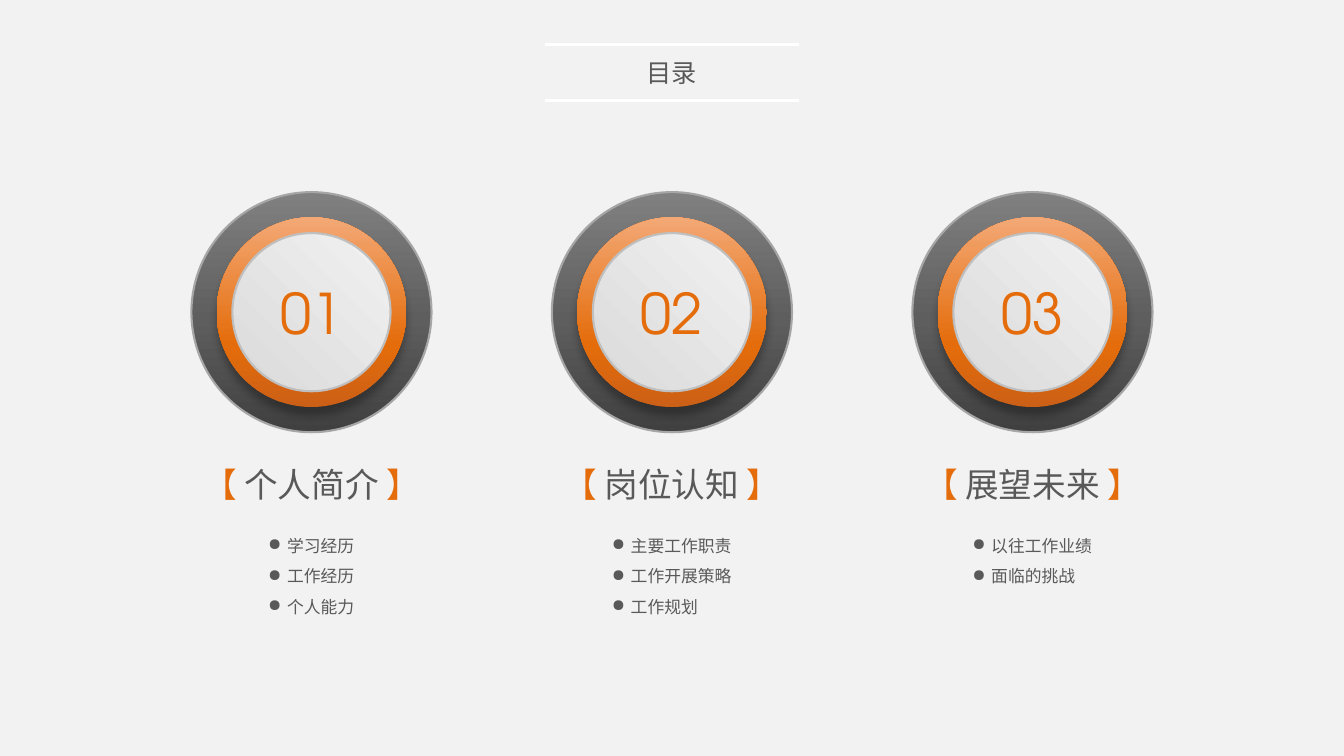
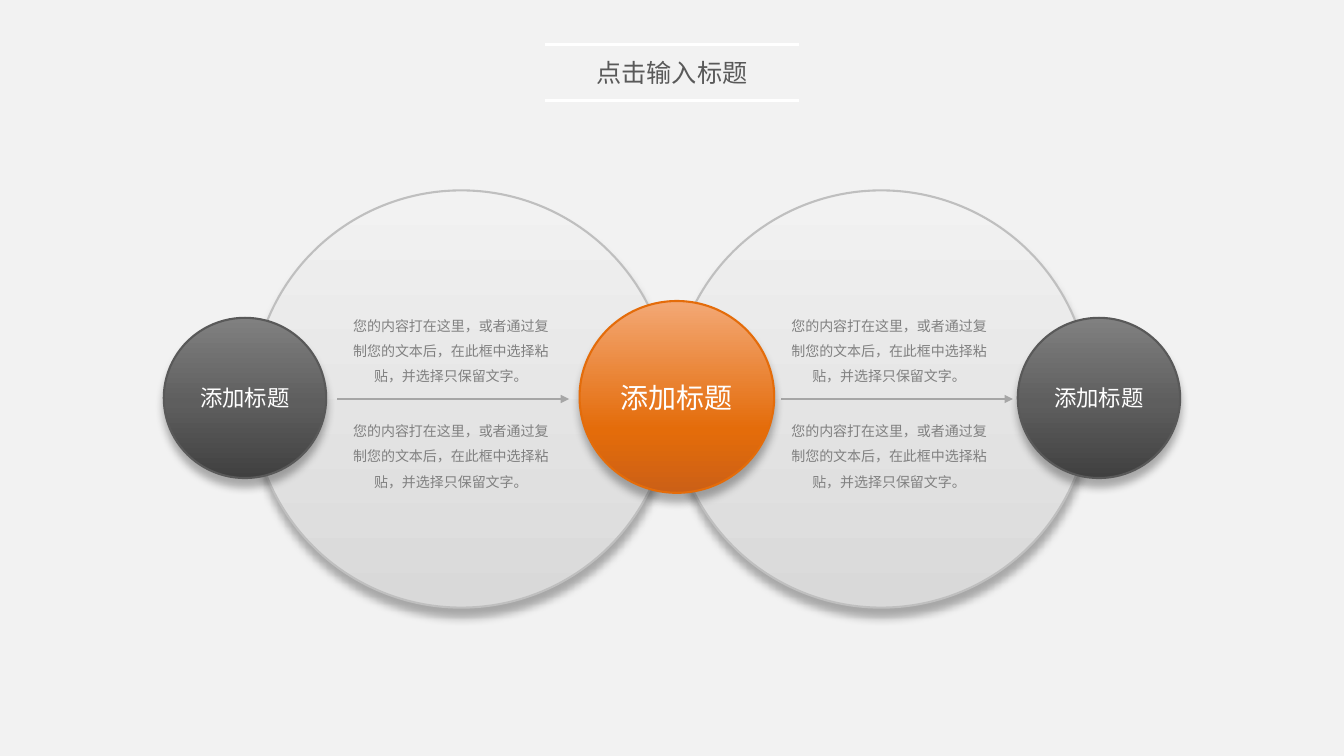
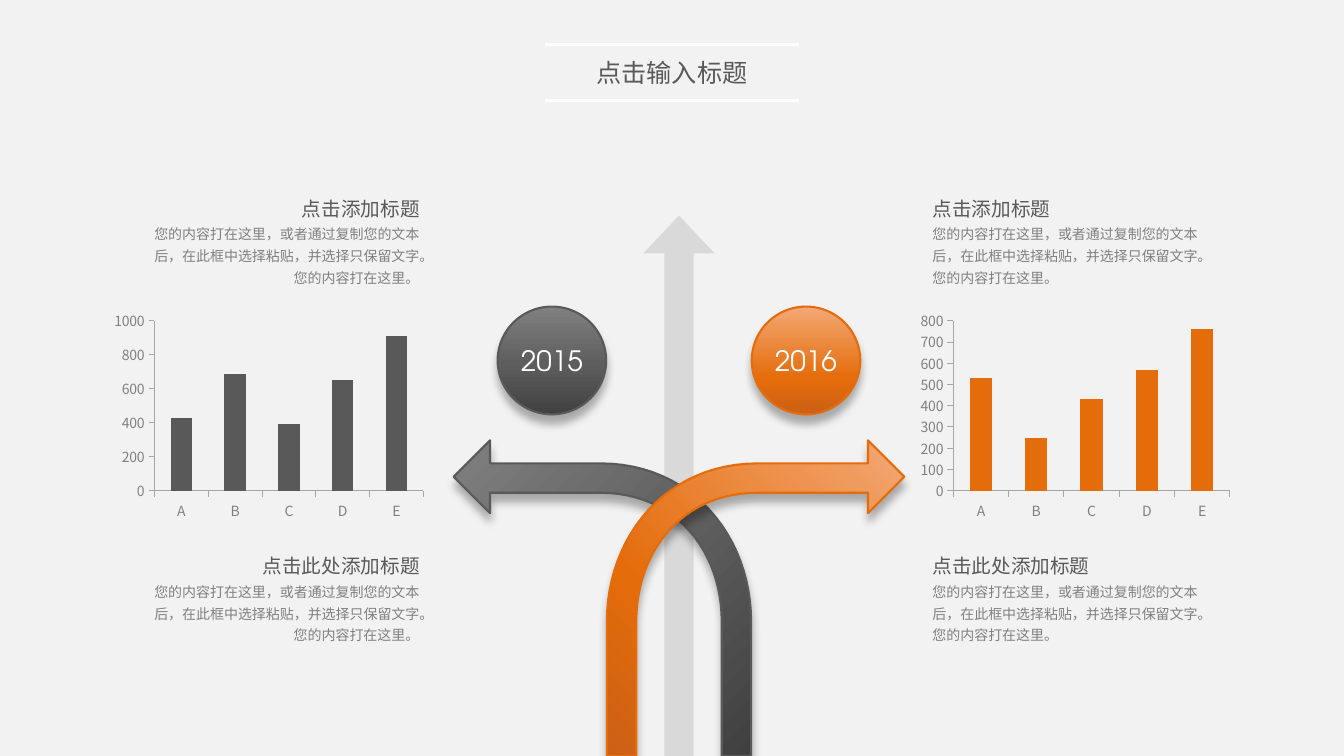
"""Build three slides: contents, linked circles, and a two-year comparison."""
import pptx
import pptx.chart.data
import pptx.dml.color
import pptx.enum.chart
import pptx.enum.shapes
import pptx.enum.text
import pptx.oxml
import pptx.oxml.ns
import pptx.util

Pt = pptx.util.Pt
qn = pptx.oxml.ns.qn
rgb = pptx.dml.color.RGBColor.from_string
OVAL = pptx.enum.shapes.MSO_SHAPE.OVAL
STRAIGHT = pptx.enum.shapes.MSO_CONNECTOR.STRAIGHT
ALIGN = pptx.enum.text.PP_ALIGN
MIDDLE = pptx.enum.text.MSO_ANCHOR.MIDDLE
NAMESPACE = pptx.oxml.ns.nsdecls("a")

CJK_FONT = "Noto Sans CJK SC"
NUMBER_FONT = "TeX Gyre Adventor"
WHITE, ORANGE, TEXT, BODY = "FFFFFF", "E46C0A", "595959", "808080"
SILVER, AXIS = "BFBFBF", "A6A6A6"
DARK_FADE = [(0, "404040"), (47, "5E5E5E"), (100, "808080")]
ORANGE_FADE = [(0, "CC6016"), (33, ORANGE), (100, "F3A875")]
LIGHT_FADE = [(0, "D9D9D9"), (100, "F2F2F2")]
FOCUS = {"left": 'l="0" t="100000" r="100000" b="0"', "right": 'l="100000" t="100000" r="0" b="0"'}


def paint(shape, fill=None, edge=None, width=1.5, shadow=False, focus=None):
    """Set fill, outline and shadow; a list of stops makes a gradient."""
    properties = shape._element.spPr
    if isinstance(fill, str):
        shape.fill.solid()
        shape.fill.fore_color.rgb = rgb(fill)
    elif fill:
        stops = "".join(f'<a:gs pos="{place * 1000}"><a:srgbClr val="{shade}"/></a:gs>' for place, shade in fill)
        aim = '<a:lin ang="16200000" scaled="0"/>'
        if focus:
            aim = f'<a:path path="circle"><a:fillToRect {FOCUS[focus]}/></a:path>'
        shape.fill.gradient()
        gradient = pptx.oxml.parse_xml(f"<a:gradFill {NAMESPACE}><a:gsLst>{stops}</a:gsLst>{aim}</a:gradFill>")
        properties.replace(properties.find(qn("a:gradFill")), gradient)
    if edge:
        shape.line.color.rgb = rgb(edge)
        shape.line.width = Pt(width)
    else:
        shape.line.fill.background()
    effect = ""
    if shadow:
        effect = ('<a:outerShdw blurRad="76200" dist="76200" dir="5400000" algn="t" rotWithShape="0">'
                  '<a:srgbClr val="000000"><a:alpha val="30000"/></a:srgbClr></a:outerShdw>')
    properties.append(pptx.oxml.parse_xml(f"<a:effectLst {NAMESPACE}>{effect}</a:effectLst>"))


def style(shape, size, colour, align=ALIGN.CENTER, font=CJK_FONT, spacing=1, side=7.2, edge=3.6, wrap=True):
    """Format all text already in a shape."""
    frame = shape.text_frame
    frame.word_wrap = wrap
    frame.margin_left = frame.margin_right = Pt(side)
    frame.margin_top = frame.margin_bottom = Pt(edge)
    for para in frame.paragraphs:
        para.alignment = align
        para.line_spacing = spacing
        for span in para.runs:
            span.font.size = Pt(size)
            span.font.color.rgb = rgb(colour)
            span.font.name = font
            east_asian = pptx.oxml.parse_xml(f'<a:ea {NAMESPACE} typeface="{font}"/>')
            span.font._element.append(east_asian)


deck = pptx.Presentation()
deck.slide_width, deck.slide_height = Pt(960), Pt(540)
background = deck.slide_master.background.fill
background.solid()
background.fore_color.rgb = rgb("F2F2F2")

pages = []
for title in ["目录", "点击输入标题", "点击输入标题"]:
    page = deck.slides.add_slide(deck.slide_layouts[6])
    for y in (71.5, 31.5):
        rule = page.shapes.add_connector(STRAIGHT, Pt(389.5), Pt(y), Pt(571), Pt(y))
        paint(rule, edge=WHITE, width=2.25)
    width = 14.4 + 18 * len(title)
    box = page.shapes.add_textbox(Pt(480 - width / 2), Pt(37.5), Pt(width), Pt(29))
    box.text_frame.text = title
    style(box, 18, TEXT, wrap=False)
    pages.append(page)
contents, circles, comparison = pages

chapters = [
    ("个人简介", ["学习经历", "工作经历", "个人能力"]),
    ("岗位认知", ["主要工作职责", "工作开展策略", "工作规划"]),
    ("展望未来", ["以往工作业绩", "面临的挑战"]),
]
rings = [
    (171.5, DARK_FADE, AXIS, False, None),
    (135.5, ORANGE_FADE, None, True, None),
    (113, LIGHT_FADE, SILVER, False, "left"),
]
for index, (name, topics) in enumerate(chapters):
    centre = 222.5 + 257.5 * index
    badge = contents.shapes.add_group_shape()
    for size, fade, edge, shadow, focus in rings:
        ring = badge.shapes.add_shape(OVAL, Pt(centre - size / 2), Pt(223 - size / 2), Pt(size), Pt(size))
        paint(ring, fade, edge, shadow=shadow, focus=focus)
    ring.text_frame.text = f"{index + 1:02}"
    style(ring, 40, ORANGE, font=NUMBER_FONT, side=0)

    heading = contents.shapes.add_textbox(Pt(centre - 87), Pt(327.5), Pt(174), Pt(36))
    para = heading.text_frame.paragraphs[0]
    for words in ("【 ", name + " ", "】"):
        para.add_run().text = words
    style(heading, 24, ORANGE, wrap=False)
    para.runs[1].font.color.rgb = rgb(TEXT)

    width = 28 + 12 * max(map(len, topics))
    listing = contents.shapes.add_textbox(Pt(centre - width / 2), Pt(372), Pt(width), Pt(8 + 21.5 * len(topics)))
    listing.text_frame.text = "\n".join(topics)
    style(listing, 12, TEXT, ALIGN.LEFT, spacing=1.5, wrap=False)
    for para in listing.text_frame.paragraphs:
        layout = para._p.get_or_add_pPr()
        layout.set("marL", str(Pt(13.5)))
        layout.set("indent", str(-Pt(13.5)))
        layout.append(pptx.oxml.parse_xml(f'<a:buChar {NAMESPACE} char="●"/>'))

for x in (480, 180):
    disc = circles.shapes.add_shape(OVAL, Pt(x), Pt(136), Pt(299), Pt(298))
    paint(disc, LIGHT_FADE, SILVER, shadow=True)

sentence = "您的内容打在这里，或者通过复制您的文本后，在此框中选择粘贴，并选择只保留文字。"
for arrow_x, text_x in [(241, 245), (558, 558)]:
    arrow = circles.shapes.add_connector(STRAIGHT, Pt(arrow_x), Pt(285), Pt(arrow_x + 165.5), Pt(285))
    paint(arrow, edge=AXIS)
    outline = arrow._element.spPr.find(qn("a:ln"))
    outline.append(pptx.oxml.parse_xml(f'<a:tailEnd {NAMESPACE} type="triangle"/>'))
    for y in (217, 292.5):
        box = circles.shapes.add_textbox(Pt(text_x), Pt(y), Pt(154), Pt(61))
        box.text_frame.text = sentence
        box.text_frame.vertical_anchor = MIDDLE
        style(box, 10, BODY, spacing=1.5)

labelled_ovals = [
    (circles, 117, 227, 116, 114.5, DARK_FADE, TEXT, "添加标题", 16, CJK_FONT),
    (circles, 727, 227, 116, 114.5, DARK_FADE, TEXT, "添加标题", 16, CJK_FONT),
    (circles, 414, 215, 139, 137, ORANGE_FADE, ORANGE, "添加标题", 20, CJK_FONT),
    (comparison, 355.5, 219, 77.5, 77, DARK_FADE, TEXT, "2015", 20, NUMBER_FONT),
    (comparison, 537, 219, 77.5, 77, ORANGE_FADE, ORANGE, "2016", 20, NUMBER_FONT),
]
for page, x, y, width, height, fade, edge, label, size, font in labelled_ovals:
    oval = page.shapes.add_shape(OVAL, Pt(x), Pt(y), Pt(width), Pt(height))
    paint(oval, fade, edge, shadow=True)
    oval.text_frame.text = label
    style(oval, size, WHITE, font=font, side=0)

inner_bend = [(429, 352), (483, 352), (515.5, 394), (515.5, 444)]
outer_bend = [(536.5, 444), (536.5, 383), (494, 331), (429, 331)]
bends = []
for bend in (inner_bend, outer_bend):
    curve = []
    for step in range(25):
        t = step / 24
        weights = [(1 - t) ** 3, 3 * t * (1 - t) ** 2, 3 * t ** 2 * (1 - t), t ** 3]
        curve.append(tuple(sum(w * point[axis] for w, point in zip(weights, bend)) for axis in (0, 1)))
    bends.append(curve)
arrow_head = [(350, 331), (350, 314.5), (324, 340.5), (350, 366.5), (350, 352)]
left_turn = arrow_head + bends[0] + [(515.5, 540), (536.5, 540)] + bends[1]
right_turn = [(970 - x, y) for x, y in left_turn]
straight_up = [(495.5, 181), (495.5, 540), (474.5, 540), (474.5, 181), (459.5, 181), (485, 154), (510.5, 181)]
road_arrows = [
    (straight_up, "D9D9D9", None, False, None),
    (left_turn, DARK_FADE, TEXT, True, "right"),
    (right_turn, ORANGE_FADE, ORANGE, True, "left"),
]
for points, fill, edge, shadow, focus in road_arrows:
    corners = [(Pt(x), Pt(y)) for x, y in points]
    builder = comparison.shapes.build_freeform(*corners[0])
    builder.add_line_segments(corners[1:], close=True)
    paint(builder.convert_to_shape(), fill, edge, shadow=shadow, focus=focus)

sides = [
    (179, 99, ALIGN.RIGHT, 77, TEXT, [430, 690, 390, 650, 910], 1000, 200),
    (659, 659, ALIGN.LEFT, 653, ORANGE, [530, 250, 430, 570, 760], 800, 100),
]
for head_x, body_x, align, chart_x, colour, values, top_value, unit in sides:
    for y, head in [(387.5, "点击此处添加标题"), (132, "点击添加标题")]:
        box = comparison.shapes.add_textbox(Pt(body_x), Pt(y + 22), Pt(207.5), Pt(53))
        box.text_frame.text = sentence + "您的内容打在这里。"
        style(box, 10, BODY, align, spacing=1.3)
        box = comparison.shapes.add_textbox(Pt(head_x), Pt(y), Pt(128), Pt(25))
        box.text_frame.text = head
        style(box, 14, TEXT, align, spacing=1.5, edge=0)

    data = pptx.chart.data.CategoryChartData()
    data.categories = list("ABCDE")
    data.add_series("Series 1", values)
    kind = pptx.enum.chart.XL_CHART_TYPE.COLUMN_STACKED
    chart = comparison.shapes.add_chart(kind, Pt(chart_x), Pt(219), Pt(230), Pt(156), data).chart
    chart.has_legend = chart.has_title = False
    chart.font.size = Pt(10)
    chart.font.name = CJK_FONT
    chart.font.color.rgb = rgb(BODY)
    plot = chart.plots[0]
    plot.vary_by_categories = False
    plot.gap_width, plot.overlap = 150, 100
    plot.series[0].format.fill.solid()
    plot.series[0].format.fill.fore_color.rgb = rgb(colour)
    for axis in (chart.category_axis, chart.value_axis):
        axis.has_major_gridlines = False
        axis.major_tick_mark = pptx.enum.chart.XL_TICK_MARK.OUTSIDE
        axis.format.line.color.rgb = rgb(AXIS)
        axis.format.line.width = Pt(0.75)
    chart.value_axis.minimum_scale = 0
    chart.value_axis.maximum_scale = top_value
    chart.value_axis.major_unit = unit

deck.save("out.pptx")
